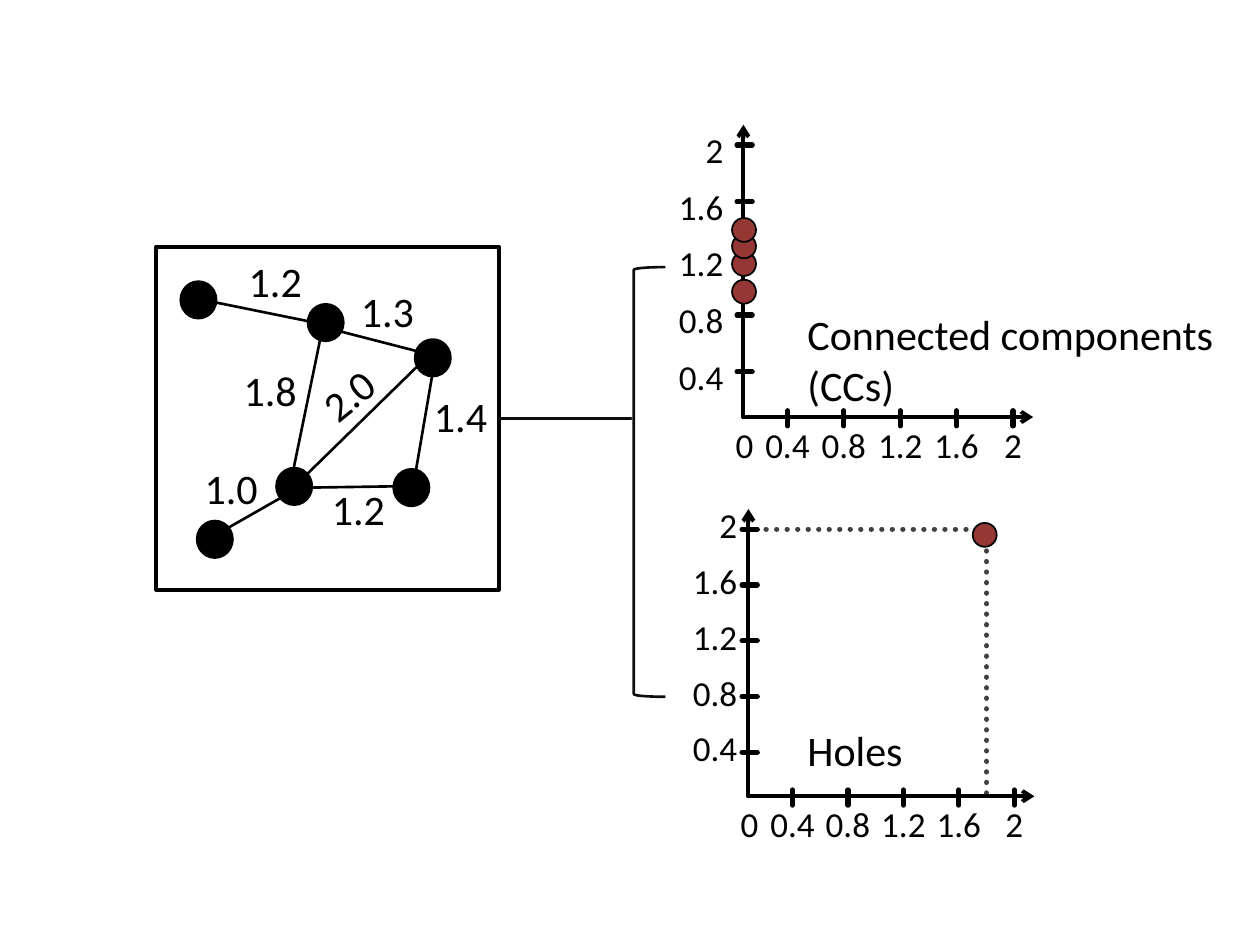
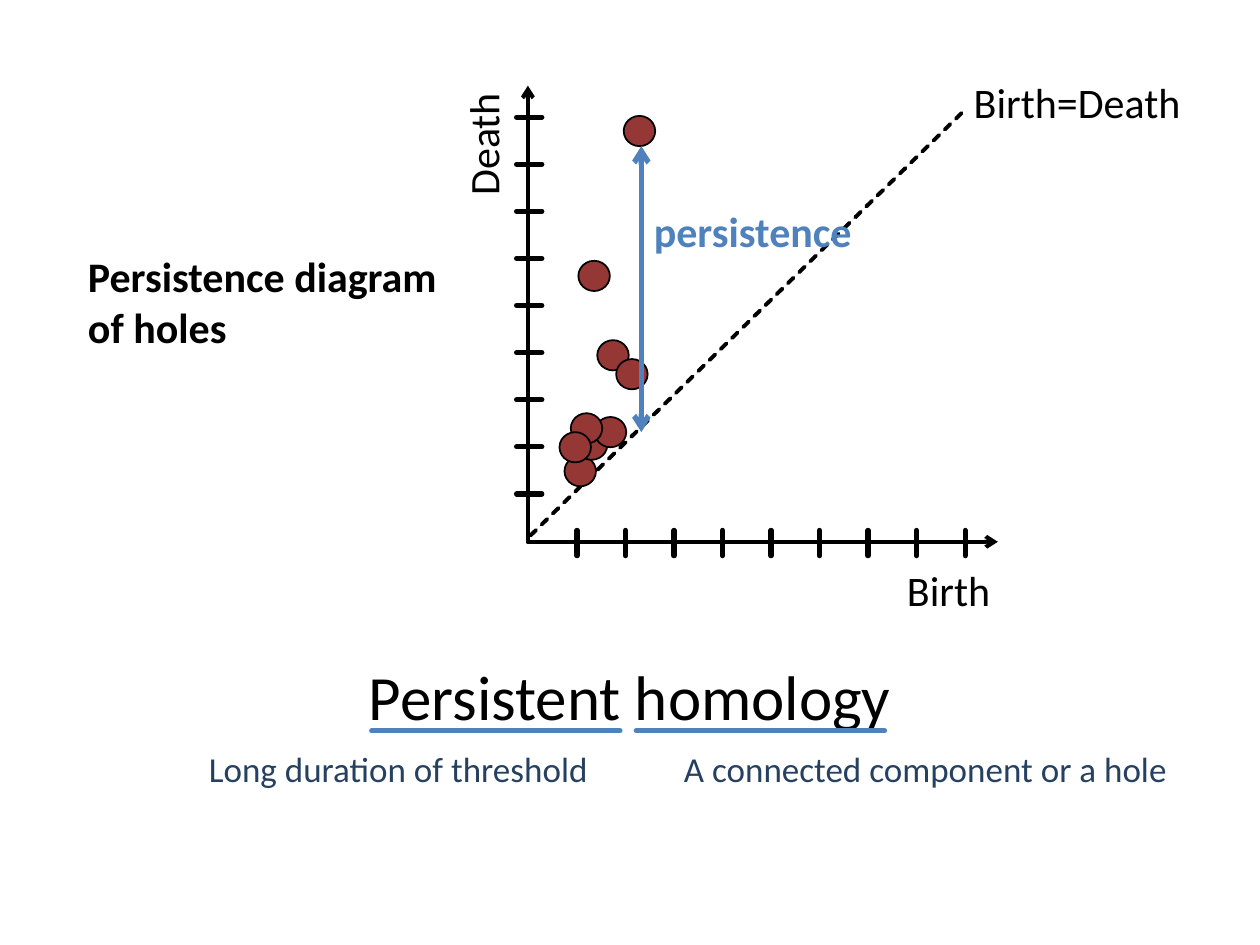
from lxml.etree import SubElement
from pptx import Presentation
from pptx.dml.color import RGBColor
from pptx.enum.dml import MSO_LINE as DASH
from pptx.enum.shapes import MSO_CONNECTOR as CONNECTOR
from pptx.enum.shapes import MSO_SHAPE as SHAPE
from pptx.enum.text import MSO_AUTO_SIZE as AUTO_SIZE
from pptx.enum.text import PP_ALIGN as ALIGN
from pptx.oxml.ns import qn
from pptx.util import Inches, Pt

BLACK = RGBColor(0x00, 0x00, 0x00)
INK = RGBColor(0x0D, 0x0D, 0x0D)
GREY = RGBColor(0x40, 0x40, 0x40)
RED = RGBColor(0x95, 0x37, 0x35)
BLUE = RGBColor(0x4F, 0x81, 0xBD)
NAVY = RGBColor(0x25, 0x40, 0x61)
FONT = "Calibri"


def draw_line(slide, start, end, width, color=BLACK, dash=None, arrows=()):
    connector = slide.shapes.add_connector(
        CONNECTOR.STRAIGHT, *[Inches(v) for v in (*start, *end)])
    connector.line.color.rgb = color
    connector.line.width = Pt(width)
    if dash:
        connector.line.dash_style = dash
    ln = connector.get_or_add_ln()
    ln.set("cap", "rnd")
    for arrow in arrows:
        SubElement(ln, qn(f"a:{arrow}"), type="arrow")
    SubElement(connector._element.spPr, qn("a:effectLst"))
    return connector


def write(slide, text, left, top, width, height=0.5, size=24, color=BLACK,
          bold=False, align=ALIGN.LEFT, rotation=0):
    box = slide.shapes.add_textbox(*[Inches(v) for v in (left, top, width, height)])
    box.rotation = rotation
    frame = box.text_frame
    frame.word_wrap = False
    frame.auto_size = AUTO_SIZE.SHAPE_TO_FIT_TEXT
    for i, words in enumerate(text.split("\n")):
        paragraph = frame.add_paragraph() if i else frame.paragraphs[0]
        paragraph.alignment = align
        run = paragraph.add_run()
        run.text = words
        run.font.name = FONT
        run.font.size = Pt(size)
        run.font.bold = bold
        run.font.color.rgb = color


prs = Presentation()
prs.slide_width, prs.slide_height = Inches(10), Inches(7.5)
network, diagram = [prs.slides.add_slide(prs.slide_layouts[6]) for _ in range(2)]

draw_line(network, (7.83, 4.29), (7.83, 6.3), 3, GREY, DASH.ROUND_DOT)
draw_line(network, (7.75, 4.2), (6.01, 4.2), 3, GREY, DASH.ROUND_DOT)

# slide, origin, axis ends, first and last tick of each axis, tick count, half tick
axes = [
    (network, (5.9, 3.31), (8.2, 0.99), (6.25, 8.04), (2.95, 1.15), 5, 0.06),
    (network, (5.94, 6.32), (8.21, 4.04), (6.29, 8.05), (5.97, 4.2), 5, 0.06),
    (diagram, (4.19, 4.3), (7.92, 0.68), (4.58, 7.66), (3.92, 0.93), 9, 0.1),
]
for slide, (x0, y0), (x_end, y_end), births, deaths, count, half in axes:
    draw_line(slide, (x0, y0), (x_end, y0), 2.25, arrows=["tailEnd"])
    draw_line(slide, (x0, y0), (x0, y_end), 2.25, arrows=["tailEnd"])
    for i in range(count):
        x, y = [first + (last - first) * i / (count - 1) for first, last in (births, deaths)]
        draw_line(slide, (x, y0 + 0.01 + half), (x, y0 + 0.01 - half), 3)
        draw_line(slide, (x0 + 0.01 + half, y), (x0 + 0.01 - half, y), 3)

for (x0, y0), births, deaths, right, rise in [
    ((5.9, 3.31), (6.25, 8.04), (2.95, 1.15), 5.84, 0.18),
    ((5.94, 6.32), (6.29, 8.05), (5.97, 4.2), 5.95, 0.25),
]:
    write(network, "0", x0 - 0.16, y0, 0.34, 0.44, 20)
    for i, value in enumerate(["0.4", "0.8", "1.2", "1.6", "2"]):
        x, y = [first + (last - first) * i / 4 for first, last in (births, deaths)]
        width = 0.56 if len(value) > 1 else 0.34
        write(network, value, x - width / 2, y0, width, 0.44, 20, align=ALIGN.CENTER)
        write(network, value, right - width, y - rise, width, 0.44, 20, align=ALIGN.RIGHT)

draw_line(diagram, (4.21, 4.25), (7.66, 0.87), 2.25, dash=DASH.SQUARE_DOT)

nodes = [(2.2, 3.72), (3.13, 3.73), (3.3, 2.7), (2.45, 2.42), (1.44, 2.24), (1.57, 4.14)]
components = [(5.81, 2.22), (5.81, 2), (5.81, 1.86), (5.81, 1.73)]
hole = [(7.72, 4.15)]
holes = [(4.59, 2.07), (4.74, 2.7), (4.89, 2.85), (4.95, 0.92), (4.48, 3.62),
         (4.57, 3.41), (4.72, 3.31), (4.53, 3.28), (4.44, 3.43)]
for slide, points, width, height, color, outline in [
    (network, nodes, 0.27, 0.28, BLACK, 2.25),
    (network, components + hole, 0.19, 0.19, RED, 1),
    (diagram, holes, 0.25, 0.24, RED, 1),
]:
    for x, y in points:
        point = slide.shapes.add_shape(
            SHAPE.OVAL, Inches(x), Inches(y), Inches(width), Inches(height))
        point.shadow.inherit = False
        point.fill.solid()
        point.fill.fore_color.rgb = color
        point.line.color.rgb = BLACK
        point.line.width = Pt(outline)

edges = [
    ((3.32, 2.79), (2.7, 2.63), "1.3", (2.76, 2.22), 0),
    ((1.81, 4.19), (2.23, 3.95), "1.0", (1.52, 3.62), 0),
    ((2.47, 3.87), (3.12, 3.86), "1.2", (2.53, 3.79), 0),
    ((3.3, 3.74), (3.43, 2.98), "1.4", (3.34, 3.05), 0),
    ((2.45, 2.55), (1.71, 2.4), "1.2", (1.87, 1.98), 0),
    ((2.33, 3.72), (2.55, 2.65), "1.8", (1.83, 2.84), 0),
    ((2.43, 3.77), (3.32, 2.9), "2.0", (2.45, 2.88), 321.1),
]
for start, end, weight, (left, top), rotation in edges:
    draw_line(network, start, end, 1.5)
    write(network, weight, left, top, 0.63, align=ALIGN.CENTER, rotation=rotation)

frame, bracket = [
    network.shapes.add_shape(kind, *[Inches(v) for v in place])
    for kind, place in [(SHAPE.RECTANGLE, (1.24, 1.96, 2.72, 2.72)),
                        (SHAPE.LEFT_BRACKET, (5.03, 2.12, 0.25, 3.41))]
]
for outline, color, width in [(frame, BLACK, 2.25), (bracket, INK, 1.5)]:
    outline.shadow.inherit = False
    outline.fill.background()
    outline.line.color.rgb = color
    outline.line.width = Pt(width)
stem = draw_line(network, (3.96, 3.32), (5.01, 3.32), 1.5, INK)
stem.begin_connect(frame, 3)

write(network, "Connected components\n(CCs)", 6.31, 2.4, 3.46, 0.91)
write(network, "Holes", 6.31, 5.7, 0.97)

write(diagram, "Birth", 7.1, 4.43, 0.87)
write(diagram, "Death", 3.32, 0.89, 1.02, rotation=270)
write(diagram, "Birth=Death", 7.63, 0.56, 1.86)
write(diagram, "Persistence diagram\nof holes", 0.6, 1.94, 3, 0.91, bold=True)
draw_line(diagram, (5.09, 1.16), (5.09, 3.43), 3, BLUE, arrows=["headEnd", "tailEnd"])
write(diagram, "persistence", 5.09, 1.58, 1.79, color=BLUE, bold=True)

write(diagram, "Persistent homology", 2.83, 5.17, 4.38, 0.71, 36)
for underline, meaning, left, width in [
    (2.95, "Long duration of threshold", 1.56, 3.23),
    (5.05, "A connected component or a hole", 5.33, 4.07),
]:
    draw_line(diagram, (underline, 5.8), (underline + 1.97, 5.8), 3, BLUE)
    write(diagram, meaning, left, 5.88, width, 0.44, 20, NAVY)

prs.save("out.pptx")
